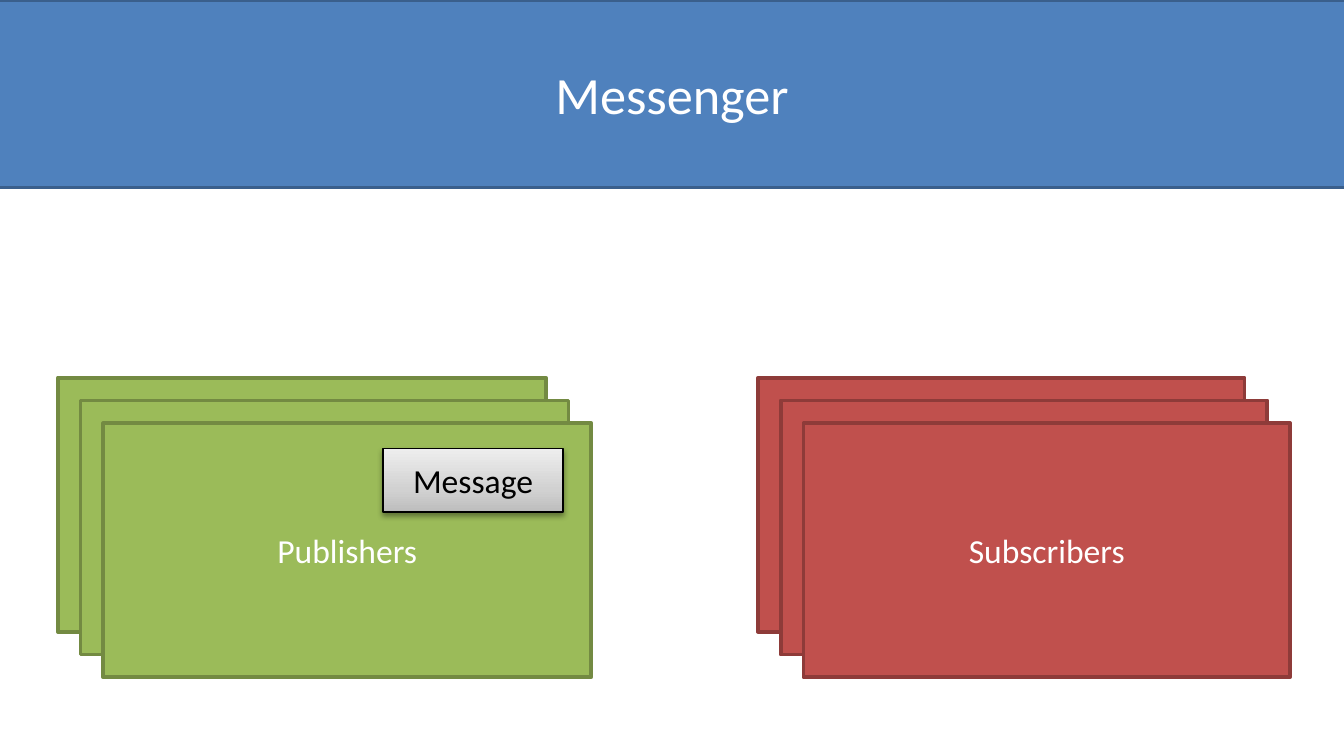
import pptx
import pptx.util
import pptx.dml.color
import pptx.enum.shapes
import pptx.enum.text
import pptx.oxml
import pptx.oxml.ns
from pptx.util import Pt

HEADING = "Messenger"
MESSAGE = "Message"
STACKS = [
    {"label": "Publishers", "left": 31, "width": 261.4, "role": "publisher"},
    {"label": "Subscribers", "left": 406.1, "width": 260.6, "role": "subscriber"},
]
THEME = {
    "font": "Calibri",
    "heading_size": 28,
    "label_size": 18,
    "light": "FFFFFF",
    "dark": "000000",
    "banner": ("4F81BD", "3A5F8C"),
    "publisher": ("9BBB59", "738A42"),
    "subscriber": ("C0504D", "8E3B39"),
    "message_stops": [(0, "BDBDBD"), (35, "D1D1D1"), (100, "EEEEEE")],
}
STACK_TOP, CARD_HEIGHT = 202.3, 136.2
CARD_COUNT, CARD_STEP = 3, 12.2
NAMESPACE = pptx.oxml.ns.nsdecls("a")


def rgb(value):
    return pptx.dml.color.RGBColor.from_string(value)


def write(shape, text, size=THEME["label_size"], color=THEME["light"]):
    frame = shape.text_frame
    frame.word_wrap = True
    frame.auto_size = pptx.enum.text.MSO_AUTO_SIZE.NONE
    frame.vertical_anchor = pptx.enum.text.MSO_ANCHOR.MIDDLE
    paragraph = frame.paragraphs[0]
    paragraph.alignment = pptx.enum.text.PP_ALIGN.CENTER
    run = paragraph.add_run()
    run.text = text
    run.font.name = THEME["font"]
    run.font.size = Pt(size)
    run.font.color.rgb = rgb(color)


def paint(shape, role):
    fill, line = THEME[role]
    shape.fill.solid()
    shape.fill.fore_color.rgb = rgb(fill)
    shape.line.color.rgb = rgb(line)
    shape.line.width = Pt(2)


def add_box(left, top, width, height):
    box = slide.shapes.add_shape(
        pptx.enum.shapes.MSO_SHAPE.RECTANGLE, Pt(left), Pt(top), Pt(width), Pt(height)
    )
    box.shadow.inherit = False
    return box


def add_stack(label, left, width, role):
    for level in range(CARD_COUNT):
        offset = level * CARD_STEP
        card = add_box(left + offset, STACK_TOP + offset, width, CARD_HEIGHT)
        paint(card, role)
    write(card, label)


def add_message():
    message = add_box(205.2, 240.4, 96.5, 34)
    message.line.color.rgb = rgb(THEME["dark"])
    message.line.width = Pt(0.75)
    stops = "".join(
        f'<a:gs pos="{position * 1000}"><a:srgbClr val="{color}"/></a:gs>'
        for position, color in THEME["message_stops"]
    )
    gradient = pptx.oxml.parse_xml(
        f"<a:gradFill {NAMESPACE}><a:gsLst>{stops}</a:gsLst>"
        '<a:lin ang="16200000" scaled="0"/></a:gradFill>'
    )
    shadow = pptx.oxml.parse_xml(
        f'<a:outerShdw {NAMESPACE} blurRad="{Pt(3.1)}" dist="{Pt(1.6)}" dir="5400000" '
        f'rotWithShape="0"><a:srgbClr val="{THEME["dark"]}"><a:alpha val="38000"/>'
        "</a:srgbClr></a:outerShdw>"
    )
    properties = message.element.spPr
    properties.find(pptx.oxml.ns.qn("a:prstGeom")).addnext(gradient)
    properties.find(pptx.oxml.ns.qn("a:effectLst")).append(shadow)
    write(message, MESSAGE, color=THEME["dark"])


deck = pptx.Presentation()
deck.slide_width, deck.slide_height = Pt(720), Pt(405)
slide = deck.slides.add_slide(deck.slide_layouts[5])

banner = slide.shapes.title
banner.left, banner.top, banner.width, banner.height = Pt(-20), Pt(0), Pt(760), Pt(100.5)
paint(banner, "banner")
write(banner, HEADING, size=THEME["heading_size"])

for stack in STACKS:
    add_stack(**stack)
add_message()

deck.save("out.pptx")
